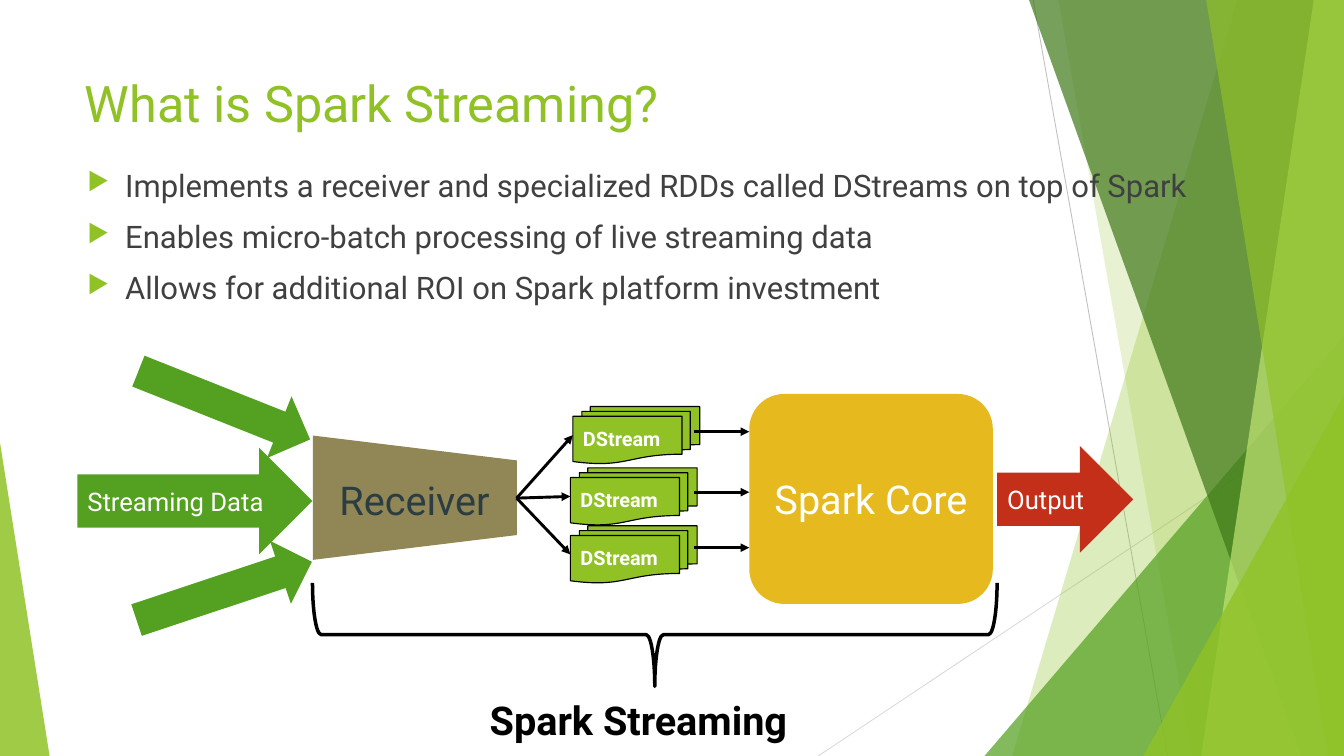
import pptx
import pptx.util
import pptx.dml.color
import pptx.enum.shapes
import pptx.enum.text
import pptx.oxml.ns
import lxml.etree

SHAPE = pptx.enum.shapes.MSO_SHAPE
ALIGN = pptx.enum.text.PP_ALIGN
ANCHOR = pptx.enum.text.MSO_ANCHOR
COLS, ROWS = 16, 9
HUES = {
    "lime": "90C226", "green": "54A021", "dark": "3F7819", "pale": "C0E474",
    "tan": "918655", "slate": "2C3C43", "gold": "E6B91E", "red": "C42F1A",
    "text": "404040", "white": "FFFFFF", "black": "000000",
    "gray": "BFBFBF", "mist": "D9D9D9",
}


class Board:
    """Draws on one slide, measured in 16 columns and 9 rows."""

    font = "Roboto"

    def __init__(self, deck):
        self.slide = deck.slides.add_slide(deck.slide_layouts[5])
        self.shapes = self.slide.shapes
        self.col = deck.slide_width / COLS
        self.row = deck.slide_height / ROWS

    def x(self, cols):
        return round(cols * self.col)

    def y(self, rows):
        return round(rows * self.row)

    def box(self, left, top, width, height):
        return self.x(left), self.y(top), self.x(width), self.y(height)

    def rgb(self, hue):
        return pptx.dml.color.RGBColor.from_string(HUES[hue])

    def node(self, parent, tag, **attrs):
        return lxml.etree.SubElement(parent, pptx.oxml.ns.qn("a:" + tag), attrs)

    def paint(self, item, fill=None, alpha=100, line=None, width=1):
        item.shadow.inherit = False
        if fill:
            item.fill.solid()
            item.fill.fore_color.rgb = self.rgb(fill)
            if alpha < 100:
                color = item.fill._xPr.find(".//" + pptx.oxml.ns.qn("a:srgbClr"))
                self.node(color, "alpha", val=str(alpha * 1000))
        else:
            item.fill.background()
        if line:
            item.line.color.rgb = self.rgb(line)
            item.line.width = pptx.util.Pt(width)
        else:
            item.line.fill.background()
        return item

    def words(self, item, text, size, hue, bold=False, align=ALIGN.LEFT,
              anchor=ANCHOR.MIDDLE, wrap=True, pad=0.12):
        frame = item.text_frame
        frame.text = text
        frame.word_wrap = wrap
        frame.auto_size = pptx.enum.text.MSO_AUTO_SIZE.NONE
        frame.vertical_anchor = anchor
        frame.margin_left = frame.margin_right = self.x(pad)
        frame.margin_top = frame.margin_bottom = self.y(pad)
        for para in frame.paragraphs:
            para.alignment = align
            for run in para.runs:
                run.font.name = self.font
                run.font.size = pptx.util.Pt(size)
                run.font.bold = bold
                run.font.color.rgb = self.rgb(hue)
        return item

    def title(self, text, place):
        item = self.shapes.title
        item.left, item.top, item.width, item.height = self.box(*place)
        self.words(item, text, 43.2, "lime", anchor=ANCHOR.TOP)
        item.text_frame.margin_top = self.y(0.06)

    def label(self, text, place, size, hue, **style):
        item = self.shapes.add_textbox(*self.box(*place))
        return self.words(item, text, size, hue, **style)

    def points(self, lines, place):
        item = self.label("\n".join(lines), place, 26.6, "text", anchor=ANCHOR.TOP)
        item.text_frame.margin_top = self.y(0.06)
        for count, para in enumerate(item.text_frame.paragraphs):
            props = para._p.get_or_add_pPr()
            props.set("marL", str(self.x(0.45)))
            props.set("indent", str(-self.x(0.45)))
            self.node(self.node(props, "buClr"), "srgbClr", val=HUES["lime"])
            self.node(props, "buSzPct", val="80000")
            self.node(props, "buChar", char="▶")
            if count:
                para.space_before = pptx.util.Pt(12)

    def shape(self, kind, place, turn=0, adj=None, **style):
        item = self.shapes.add_shape(kind, *self.box(*place))
        item.rotation = turn
        if adj is not None:
            item.adjustments[0] = adj
        return self.paint(item, **style)

    def band(self, top, foot, fill, alpha):
        """Fills from a slanted edge to the right side of the slide."""
        form = self.shapes.build_freeform(self.x(top), 0)
        form.add_line_segments([(self.x(COLS), 0), (self.x(COLS), self.y(ROWS)),
                                (self.x(foot), self.y(ROWS))], close=True)
        self.paint(form.convert_to_shape(), fill, alpha)

    def line(self, start, end, hue="black", width=2.5, head=True, goal=None):
        item = self.shapes.add_connector(
            pptx.enum.shapes.MSO_CONNECTOR.STRAIGHT,
            self.x(start[0]), self.y(start[1]), self.x(end[0]), self.y(end[1]))
        item.line.color.rgb = self.rgb(hue)
        item.line.width = pptx.util.Pt(width)
        if head:
            self.node(item.line._get_or_add_ln(), "tailEnd", type="triangle")
        self.node(item._element.spPr, "effectLst")
        if goal is not None:
            item.end_connect(goal, 1)


def main():
    deck = pptx.Presentation()
    deck.slide_width = pptx.util.Inches(COLS)
    deck.slide_height = pptx.util.Inches(ROWS)
    board = Board(deck)

    # Background facets
    board.line((12.3, 0), (13.9, 9), "gray", 0.75, head=False)
    board.line((16, 4.83), (9.74, 9), "mist", 0.75, head=False)
    board.band(14.73, 12.05, "lime", 30)
    board.band(12.6, 14.19, "lime", 20)
    tri = SHAPE.ISOSCELES_TRIANGLE
    board.shape(tri, (11.72, 4, 4.28, 5), adj=1, fill="green", alpha=72)
    board.band(12.25, 15.49, "dark", 70)
    board.band(15.64, 14.3, "pale", 70)
    board.band(14.36, 15.81, "lime", 65)
    board.shape(tri, (13.61, 4.71, 2.39, 4.29), adj=1, fill="lime", alpha=80)
    board.shape(tri, (0, 5.27, 0.59, 3.73), adj=0, fill="lime", alpha=85)

    # Title and points
    board.title("What is Spark Streaming?", (0.89, 0.8, 11.28, 1.1))
    board.points([
        "Implements a receiver and specialized RDDs called DStreams on top of Spark",
        "Enables micro-batch processing of live streaming data",
        "Allows for additional ROI on Spark platform investment",
    ], (0.92, 1.92, 14.4, 1.78))

    # Receiver and core
    board.shape(SHAPE.FLOWCHART_MANUAL_OPERATION, (4.2, 4.71, 1.48, 2.43),
                turn=270, fill="tan")
    board.label("Receiver", (3.72, 5.72, 2.43, 0.45), 34, "slate",
                align=ALIGN.CENTER, pad=0.1)
    core = board.shape(SHAPE.ROUNDED_RECTANGLE, (8.92, 4.69, 2.9, 2.5), fill="gold")
    board.words(core, "Spark Core", 34, "white", align=ALIGN.CENTER)

    # Batches between receiver and core
    for left, top, feed in ((6.82, 4.84, 5.14), (6.79, 5.57, 5.86), (6.79, 6.26, 6.52)):
        batch = board.shape(SHAPE.FLOWCHART_MULTIDOCUMENT, (left, top, 1.51, 0.68),
                            fill="lime", line="black")
        board.words(batch, "DStream", 17, "white", bold=True, anchor=ANCHOR.TOP)
        board.line((6.15, 5.93), (left, top + 0.34), goal=batch)
        board.line((8.26, feed), (8.92, feed))

    # Input and output arrows
    arrow = SHAPE.RIGHT_ARROW
    for top, turn in ((4.43, 21.7), (6.64, 341.6)):
        board.shape(arrow, (1.57, top, 2.2, 0.79), turn=turn, fill="green")
    for text, left, top, width, fill in (("Streaming Data", 0.92, 5.33, 2.8, "green"),
                                         ("Output", 11.87, 5.31, 1.62, "red")):
        flow = board.shape(arrow, (left, top, width, 1.27), fill=fill)
        board.words(flow, text, 22, "white")

    # Brace and its caption
    board.shape(SHAPE.LEFT_BRACE, (7.18, 3.48, 1.23, 8.15), turn=270,
                line="black", width=3)
    board.label("Spark Streaming", (5.71, 8.17, 4.03, 0.8), 34, "black",
                bold=True, anchor=ANCHOR.TOP, wrap=False)

    deck.save("out.pptx")


if __name__ == "__main__":
    main()
